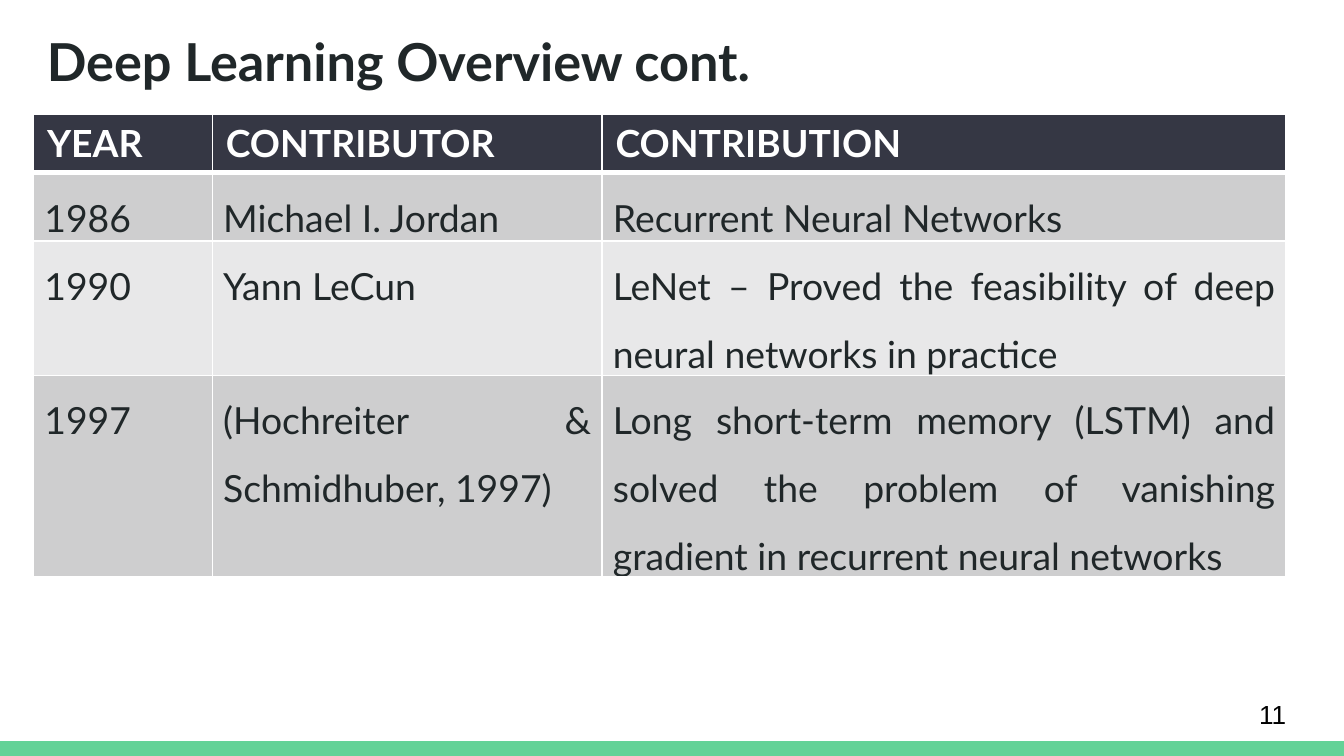
from dataclasses import dataclass

from lxml import etree
from pptx import Presentation
from pptx.dml.color import RGBColor as RGB
from pptx.enum.shapes import MSO_SHAPE as SHAPE
from pptx.enum.text import MSO_ANCHOR as ANCHOR, PP_ALIGN as ALIGN
from pptx.oxml.ns import qn
from pptx.util import Inches, Pt


@dataclass(frozen=True)
class Theme:
    font: str = "Lato"
    number_font: str = "Arial"
    ink: str = "202729"
    black: str = "000000"
    white: str = "FFFFFF"
    accent: str = "63D297"
    header: str = "353744"
    bands: tuple = ("CECECF", "E8E8E9")
    title_size: int = 28
    table_size: int = 20
    number_size: int = 14


T = Theme()


def write(tf, text, size, color, font=T.font, bold=False):
    tf.word_wrap = True
    p = tf.paragraphs[0]
    p.text = text
    f = p.runs[0].font
    f.name, f.size, f.bold = font, Pt(size), bold
    f.color.rgb = RGB.from_string(color)
    return p


def set_borders(cell, bottom=1, top=1):
    tcPr = cell._tc.get_or_add_tcPr()
    widths = {"a:lnL": 1, "a:lnR": 1, "a:lnT": top, "a:lnB": bottom}
    for i, (tag, width) in enumerate(widths.items()):
        ln = etree.Element(qn(tag), w=str(Pt(width)))
        fill = etree.SubElement(ln, qn("a:solidFill"))
        etree.SubElement(fill, qn("a:srgbClr"), val=T.white)
        tcPr.insert(i, ln)  # borders come before the cell fill


# 16:9 slide
prs = Presentation()
prs.slide_width = Inches(10)
prs.slide_height = prs.slide_width * 9 // 16
s = prs.slides.add_slide(prs.slide_layouts[6])
s.background.fill.solid()
s.background.fill.fore_color.rgb = RGB.from_string(T.white)

# Bottom bar
bar_height = Inches(0.11)
bar = s.shapes.add_shape(SHAPE.RECTANGLE, 0, prs.slide_height - bar_height,
                         prs.slide_width, bar_height)
bar.shadow.inherit = False
bar.fill.solid()
bar.fill.fore_color.rgb = RGB.from_string(T.accent)
bar.line.fill.background()

# Title and slide number
labels = [
    ((0.25, 0.12, 9.32, 0.63), "Deep Learning Overview cont.",
     T.title_size, T.ink, T.font, True, ANCHOR.TOP),
    ((9.27, 5.1, 0.6, 0.43), "11",
     T.number_size, T.black, T.number_font, False, ANCHOR.MIDDLE),
]
for box, text, size, color, font, bold, anchor in labels:
    tf = s.shapes.add_textbox(*map(Inches, box)).text_frame
    tf.margin_left = tf.margin_right = tf.margin_top = tf.margin_bottom = Inches(0.1)
    tf.vertical_anchor = anchor
    write(tf, text, size, color, font, bold)

# Contributions table
rows = [
    ("YEAR", "CONTRIBUTOR", "CONTRIBUTION"),
    ("1986", "Michael I. Jordan", "Recurrent Neural Networks"),
    ("1990", "Yann LeCun",
     "LeNet – Proved the feasibility of deep neural networks in practice"),
    ("1997", "(Hochreiter & Schmidhuber, 1997)",
     "Long short-term memory (LSTM) and solved the problem of vanishing "
     "gradient in recurrent neural networks"),
]
col_widths = (1.33, 2.9, 5.09)
row_heights = (0.42, 0.51, 1.0, 1.5)
table = s.shapes.add_table(len(rows), len(col_widths), Inches(0.25), Inches(0.85),
                           Inches(sum(col_widths)), Inches(sum(row_heights))).table
for col, width in zip(table.columns, col_widths):
    col.width = Inches(width)
for row, height in zip(table.rows, row_heights):
    row.height = Inches(height)

for i, row in enumerate(rows):
    is_header = i == 0
    for j, text in enumerate(row):
        cell = table.cell(i, j)
        cell.fill.solid()
        cell.fill.fore_color.rgb = RGB.from_string(
            T.header if is_header else T.bands[(i - 1) % 2])
        p = write(cell.text_frame, text, T.table_size,
                  T.white if is_header else T.ink, bold=is_header)
        p.alignment = ALIGN.JUSTIFY
        if not is_header:
            p.line_spacing = 1.5
            cell.margin_left = cell.margin_right = Inches(0.08)
            cell.margin_top = cell.margin_bottom = 0
        set_borders(cell, bottom=3 if is_header else 1, top=3 if i == 1 else 1)

prs.save("out.pptx")
